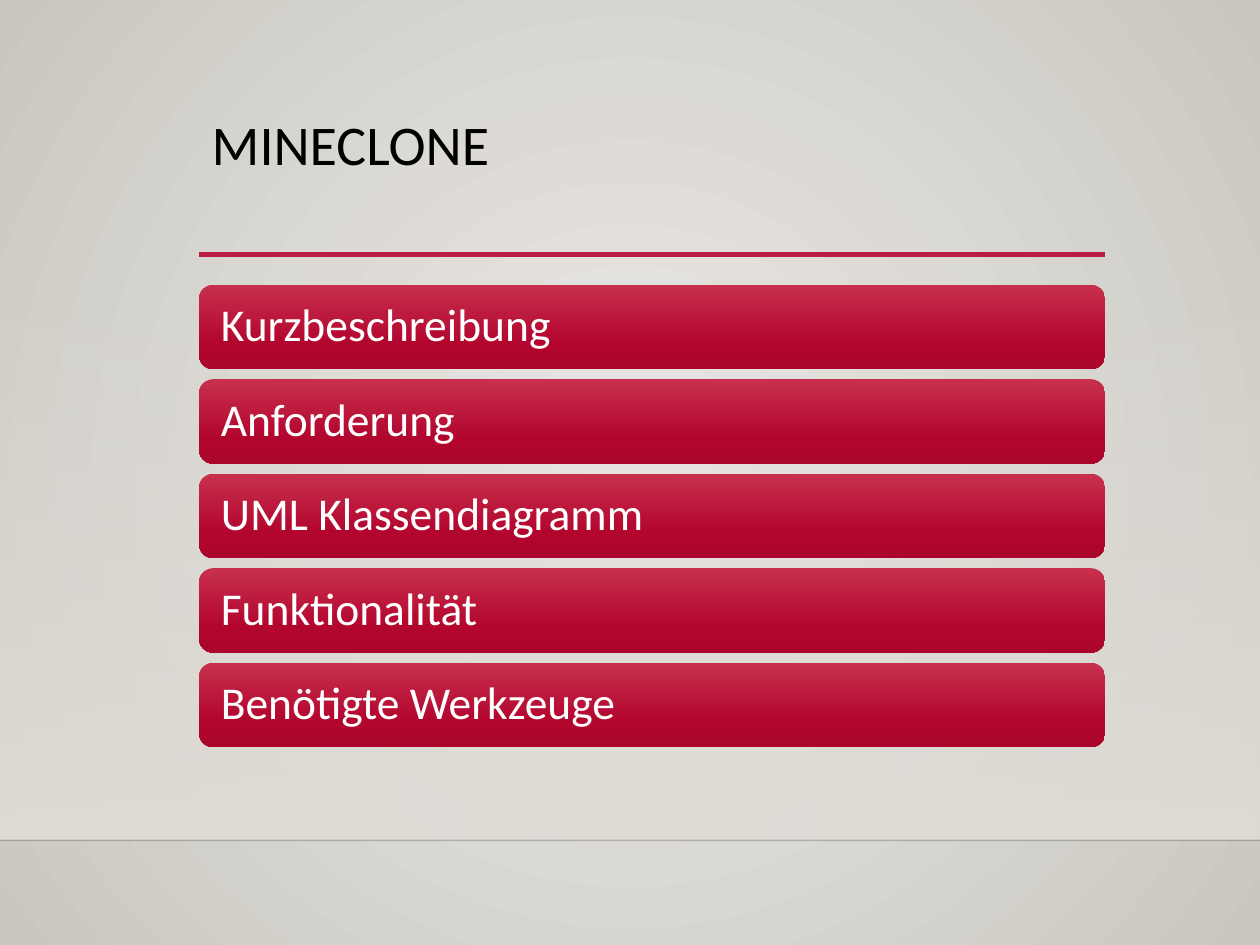
import pptx
import pptx.dml.color
import pptx.enum.shapes
import pptx.enum.text
import pptx.oxml
import pptx.oxml.ns
import pptx.oxml.xmlchemy
import pptx.util
from lxml import etree
from pptx.util import Inches

FONT = "Calibri"
LEFT, WIDTH = 1.58, 7.19
TOPICS = ["Kurzbeschreibung", "Anforderung", "UML Klassendiagramm",
          "Funktionalität", "Benötigte Werkzeuge"]
BAR_TOP, BAR_HEIGHT, BAR_STEP = 2.26, 0.67, 0.75
DOWNWARD = {"ang": "5400000", "scaled": "0"}


def color(value):
    return pptx.dml.color.RGBColor.from_string(value)


def add_child(parent, tag, **attributes):
    return etree.SubElement(parent, pptx.oxml.ns.qn(tag), attributes)


def set_gradient(properties, stops, circular=False):
    """Replace the solid fill by stops of (percent, colour, opacity percent)."""
    solid = properties.find(pptx.oxml.ns.qn("a:solidFill"))
    gradient = etree.Element(pptx.oxml.ns.qn("a:gradFill"), rotWithShape="1")
    stop_list = add_child(gradient, "a:gsLst")
    for percent, value, opacity in stops:
        stop = add_child(stop_list, "a:gs", pos=str(percent * 1000))
        stop_color = add_child(stop, "a:srgbClr", val=value)
        if opacity < 100:
            add_child(stop_color, "a:alpha", val=str(opacity * 1000))
    if circular:
        center = add_child(gradient, "a:path", path="circle")
        add_child(center, "a:fillToRect", l="50000", t="50000", r="50000", b="50000")
    else:
        add_child(gradient, "a:lin", **DOWNWARD)
    properties.replace(solid, gradient)


def set_background(slide):
    slide.background.fill.solid()
    slide.background.fill.fore_color.rgb = color("CAC7C1")
    properties = slide.element.find(".//" + pptx.oxml.ns.qn("p:bgPr"))
    set_gradient(properties, [(0, "ECEAE7", 100), (100, "CAC7C1", 100)], circular=True)


def add_panel(shapes, kind, left, top, width, height, stops):
    panel = shapes.add_shape(kind, Inches(left), Inches(top), Inches(width), Inches(height))
    panel.shadow.inherit = False
    panel.line.fill.background()
    panel.fill.solid()
    set_gradient(panel.element.spPr, stops)
    return panel


def add_rule(slide, left, top, width, value, weight, opacity=100):
    rule = slide.shapes.add_connector(
        pptx.enum.shapes.MSO_CONNECTOR.STRAIGHT,
        Inches(left), Inches(top), Inches(left + width), Inches(top))
    rule.line.color.rgb = color(value)
    rule.line.width = pptx.util.Pt(weight)
    if opacity < 100:
        line_color = rule.element.find(".//" + pptx.oxml.ns.qn("a:srgbClr"))
        add_child(line_color, "a:alpha", val=str(opacity * 1000))
    add_child(rule.element.spPr, "a:effectLst")


def write_text(frame, text, size, value, anchor):
    frame.word_wrap = True
    frame.auto_size = pptx.enum.text.MSO_AUTO_SIZE.NONE
    frame.vertical_anchor = anchor
    para = frame.paragraphs[0]
    para.alignment = pptx.enum.text.PP_ALIGN.LEFT
    para.line_spacing = 0.9
    span = para.add_run()
    span.text = text
    span.font.name = FONT
    span.font.size = pptx.util.Pt(size)
    span.font.color.rgb = color(value)


def place_title(slide, text):
    title = slide.shapes.title
    title.left, title.top = Inches(LEFT), Inches(0.88)
    title.width, title.height = Inches(WIDTH), Inches(1.15)
    write_text(title.text_frame, text, 32, "000000", pptx.enum.text.MSO_ANCHOR.TOP)


def add_topic_bars(slide):
    group = slide.shapes.add_group_shape()
    stops = [(0, "C7304C", 100), (69, "B3062F", 100), (100, "AA062C", 100)]
    for index, topic in enumerate(TOPICS):
        bar = add_panel(group.shapes, pptx.enum.shapes.MSO_SHAPE.ROUNDED_RECTANGLE,
                        LEFT, BAR_TOP + index * BAR_STEP, WIDTH, BAR_HEIGHT, stops)
        frame = bar.text_frame
        frame.margin_left = frame.margin_right = Inches(0.14)
        write_text(frame, topic, 26, "FFFFFF", pptx.enum.text.MSO_ANCHOR.MIDDLE)


def main():
    deck = pptx.Presentation()
    deck.slide_width, deck.slide_height = Inches(10), Inches(7.5)
    slide = deck.slides.add_slide(deck.slide_layouts[5])
    set_background(slide)
    add_panel(slide.shapes, pptx.enum.shapes.MSO_SHAPE.RECTANGLE, 0, 2.2, 10, 4.46,
              [(0, "DFDBD5", 0), (100, "DFDBD5", 100)])
    add_rule(slide, 0, 6.67, 10, "000001", 1, opacity=20)
    add_rule(slide, LEFT, 2.02, WIDTH, "B71E42", 2.5)
    place_title(slide, "MINECLONE")
    add_topic_bars(slide)
    deck.save("out.pptx")


if __name__ == "__main__":
    main()
